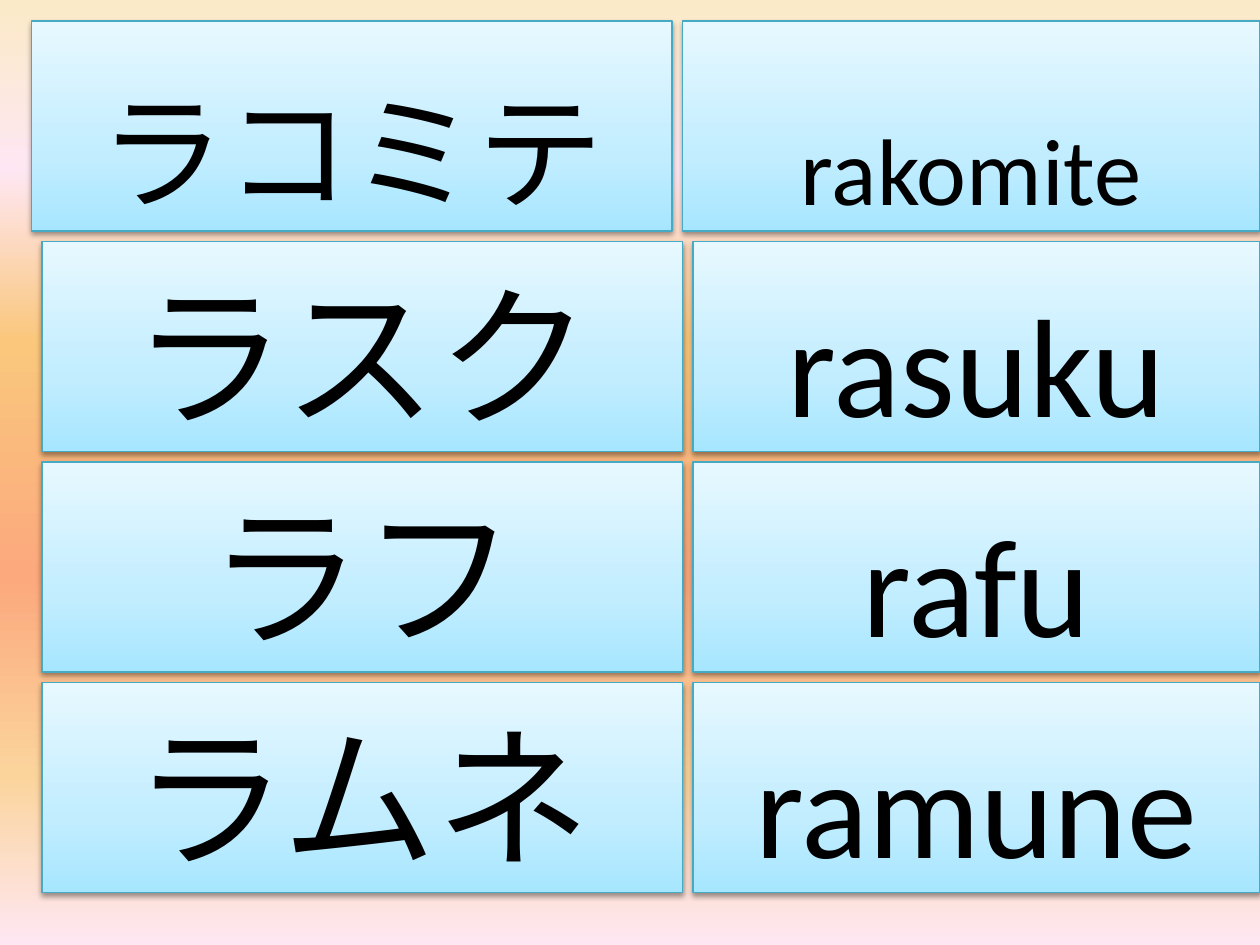
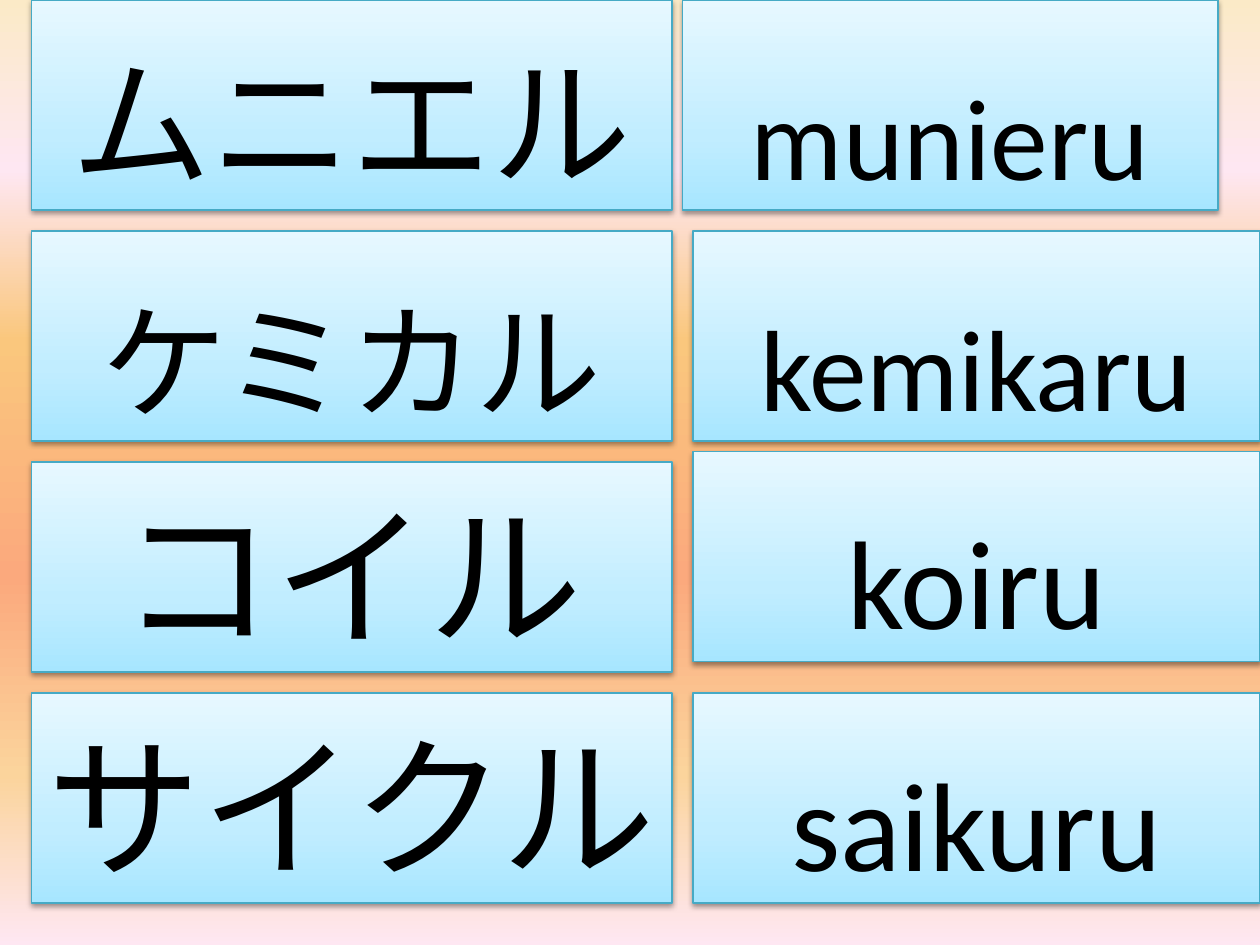
from typing import NamedTuple

from lxml.etree import SubElement
from pptx import Presentation
from pptx.dml.color import RGBColor
from pptx.enum.shapes import MSO_SHAPE
from pptx.enum.text import MSO_ANCHOR, PP_ALIGN
from pptx.oxml.ns import qn
from pptx.util import Cm, Pt

BLACK = RGBColor(0x00, 0x00, 0x00)
TEAL = RGBColor(0x46, 0xAA, 0xC5)
CREAM = RGBColor(0xFB, 0xEA, 0xC7)
PINK = RGBColor(0xFE, 0xE7, 0xF2)
AMBER = RGBColor(0xFA, 0xC7, 0x7D)
CORAL = RGBColor(0xFB, 0xA9, 0x7D)
SAND = RGBColor(0xFB, 0xD4, 0x9C)
SKY = RGBColor(0xA7, 0xE6, 0xFF)
PALE_SKY = RGBColor(0xC1, 0xED, 0xFF)
ICE = RGBColor(0xE7, 0xF8, 0xFF)

SUNSET = [(0, CREAM), (18, PINK), (36, AMBER), (61, CORAL), (82, SAND), (100, PINK)]
CARD_GRADIENT = [(0, SKY), (35, PALE_SKY), (100, ICE)]

CELL = 2.54 / 12
CARD_HEIGHT = 20
KANA_WIDTH = 61
PAGE_RIGHT = 120

INSET = Cm(0.13)
FRAME_FORMAT = {
    "word_wrap": True,
    "vertical_anchor": MSO_ANCHOR.BOTTOM,
    "margin_left": INSET,
    "margin_top": INSET,
    "margin_right": INSET,
    "margin_bottom": INSET,
}


class Word(NamedTuple):
    """One row: kana and its reading, with sizes in points and places in cells."""

    kana: str
    kana_size: int
    reading: str
    reading_size: int
    kana_left: int
    reading_left: int
    reading_right: int = PAGE_RIGHT
    reading_lift: int = 0


class WordPage(NamedTuple):
    """One page of words, with the first row's top and the row pitch in cells."""

    top: int
    pitch: int
    words: list


WORD_PAGES = [
    WordPage(2, 21, [
        Word("ラコミテ", 72, "rakomite", 54, 3, 65),
        Word("ラスク", 88, "rasuku", 80, 4, 66),
        Word("ラフ", 88, "rafu", 80, 4, 66),
        Word("ラムネ", 88, "ramune", 80, 4, 66),
    ]),
    WordPage(0, 22, [
        Word("ムニエル", 80, "munieru", 66, 3, 65, reading_right=116),
        Word("ケミカル", 72, "kemikaru", 66, 3, 66),
        Word("コイル", 88, "koiru", 72, 3, 66, reading_lift=1),
        Word("サイクル", 88, "saikuru", 72, 3, 66),
    ]),
]


def cells(count):
    """Convert grid cells to a length."""
    return Cm(count * CELL)


def set_attributes(target, values):
    """Set each named attribute on the target."""
    for name, value in values.items():
        setattr(target, name, value)


def paint_gradient(fill, element, stops, angle):
    """Give a fill a linear gradient; the angle runs counter-clockwise."""
    fill.gradient()
    fill.gradient_angle = angle
    stop_list = next(element.iter(qn("a:gsLst")))
    for old_stop in list(stop_list):
        stop_list.remove(old_stop)
    for percent, color in stops:
        stop = SubElement(stop_list, qn("a:gs"), pos=str(percent * 1000))
        SubElement(stop, qn("a:srgbClr"), val=str(color))


def add_shadow(shape):
    """Put a soft shadow just below the shape."""
    shape.shadow.inherit = False
    effects = next(shape.element.iter(qn("a:effectLst")))
    shadow = SubElement(
        effects, qn("a:outerShdw"), blurRad=str(Pt(3.1)), dist=str(Pt(1.6)),
        dir="5400000", rotWithShape="0",
    )
    color = SubElement(shadow, qn("a:srgbClr"), val=str(BLACK))
    SubElement(color, qn("a:alpha"), val="38000")


def add_card(page, box, text, size):
    """Add a gradient card with one word; the box is in cells."""
    card = page.shapes.add_shape(MSO_SHAPE.RECTANGLE, *map(cells, box))
    paint_gradient(card.fill, card.element, CARD_GRADIENT, 90)
    card.line.color.rgb = TEAL
    card.line.width = Pt(0.75)
    add_shadow(card)
    frame = card.text_frame
    set_attributes(frame, FRAME_FORMAT)
    para = frame.paragraphs[0]
    para.alignment = PP_ALIGN.CENTER
    span = para.add_run()
    span.text = text
    set_attributes(span.font, {"name": "Calibri", "size": Pt(size)})
    span.font.color.rgb = BLACK


def add_word_row(page, top, word):
    """Add a kana card and the card with its reading."""
    kana_box = (word.kana_left, top, KANA_WIDTH, CARD_HEIGHT)
    reading_box = (
        word.reading_left, top - word.reading_lift,
        word.reading_right - word.reading_left, CARD_HEIGHT,
    )
    add_card(page, kana_box, word.kana, word.kana_size)
    add_card(page, reading_box, word.reading, word.reading_size)


def add_word_page(deck, word_page):
    """Add a page with evenly pitched rows of words."""
    page = deck.slides.add_slide(deck.slide_layouts[6])
    for row, word in enumerate(word_page.words):
        add_word_row(page, word_page.top + row * word_page.pitch, word)


def main():
    """Build the word cards and save them."""
    deck = Presentation()
    set_attributes(deck, {"slide_width": Cm(25.4), "slide_height": Cm(19.05)})
    master = deck.slide_master
    paint_gradient(master.background.fill, master.element, SUNSET, 270)
    for word_page in WORD_PAGES:
        add_word_page(deck, word_page)
    deck.save("out.pptx")


if __name__ == "__main__":
    main()
